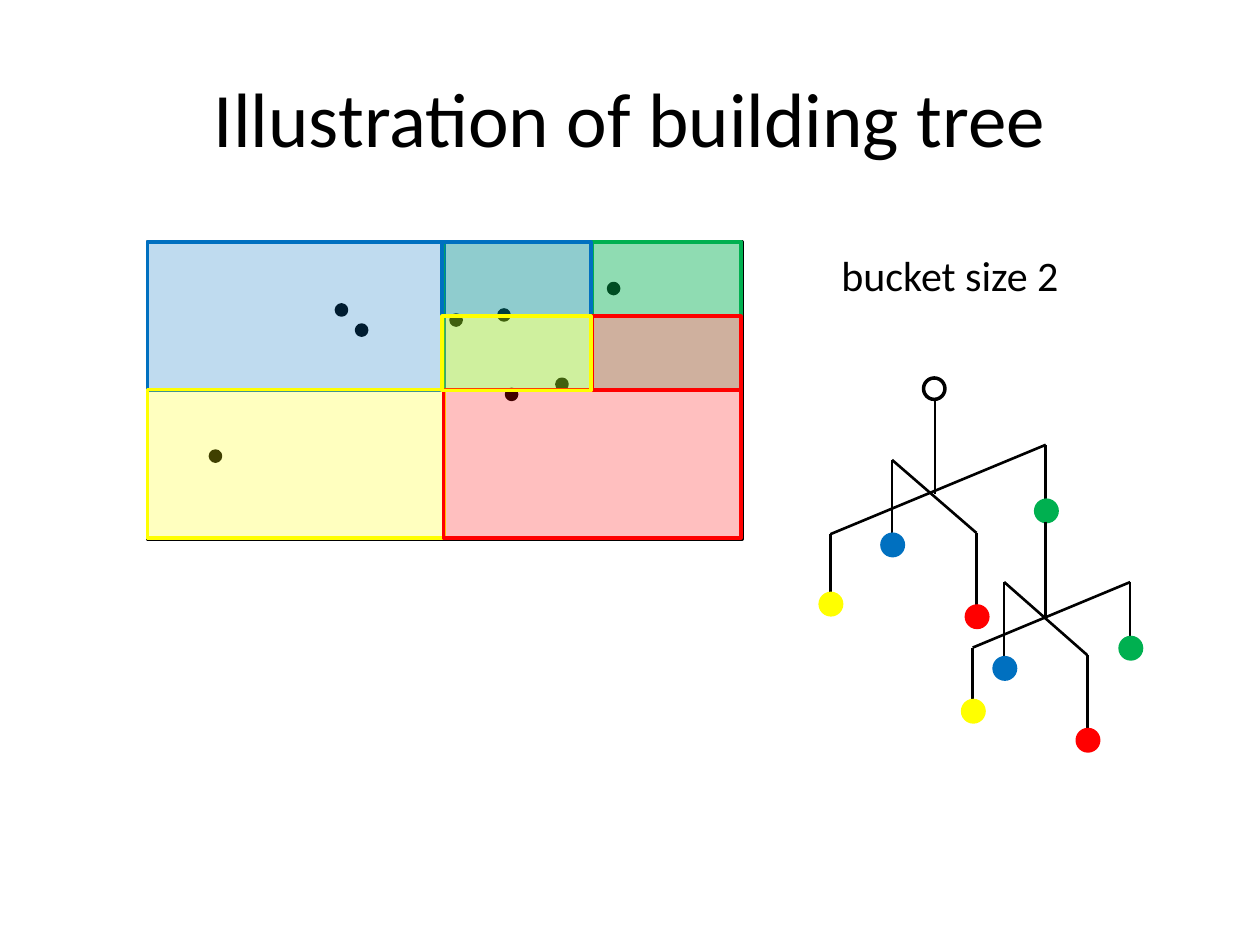
from lxml import etree
from pptx import Presentation
from pptx.dml.color import RGBColor
from pptx.enum.shapes import MSO_CONNECTOR, MSO_SHAPE
from pptx.enum.text import MSO_ANCHOR, MSO_AUTO_SIZE, PP_ALIGN
from pptx.oxml.ns import qn
from pptx.util import Pt

EMU_PER_PX = 9144
FONT = "Calibri"
BLACK = RGBColor(0x00, 0x00, 0x00)
WHITE = RGBColor(0xFF, 0xFF, 0xFF)
BLUE = RGBColor(0x00, 0x70, 0xC0)
GREEN = RGBColor(0x00, 0xB0, 0x50)
YELLOW = RGBColor(0xFF, 0xFF, 0x00)
RED = RGBColor(0xFF, 0x00, 0x00)
ELLIPSE = MSO_SHAPE.OVAL
RECTANGLE = MSO_SHAPE.RECTANGLE
STRAIGHT = MSO_CONNECTOR.STRAIGHT
MIDDLE = MSO_ANCHOR.MIDDLE
CENTER = PP_ALIGN.CENTER
FIT_SHAPE = MSO_AUTO_SIZE.SHAPE_TO_FIT_TEXT

QUADRANT_CELLS = {BLUE: (0, 0), GREEN: (1, 0), YELLOW: (0, 1), RED: (1, 1)}
POINT_SIZE = 8
NODE_SIZE = 17
POINTS = [
    (267, 242), (167, 358), (283, 258), (358, 250),
    (396, 246), (402, 309), (442, 301), (483, 225),
]
ROOT_BRANCHES = {
    YELLOW: (659, 424, 471),
    BLUE: (708, 365, 424),
    GREEN: (830, 353, 397),
    RED: (775, 423, 481),
}
CHILD_BRANCHES = {
    YELLOW: (772, 514, 556),
    BLUE: (797, 462, 522),
    GREEN: (897, 462, 506),
    RED: (863, 520, 579),
}


def px(*lengths):
    return [length * EMU_PER_PX for length in lengths]


class SlideBuilder:
    def __init__(self, presentation):
        self.slide = presentation.slides.add_slide(presentation.slide_layouts[5])
        self.shapes = self.slide.shapes

    def start_group(self):
        self.shapes = self.slide.shapes.add_group_shape().shapes

    def end_group(self):
        self.shapes = self.slide.shapes

    def style_text(self, text_frame, text, size):
        text_frame.text = text
        font = text_frame.paragraphs[0].runs[0].font
        font.name = FONT
        font.size = Pt(size)
        font.color.rgb = BLACK

    def title(self, text, left, top, width, height):
        title = self.slide.shapes.title
        title.left, title.top, title.width, title.height = px(left, top, width, height)
        title.text_frame.vertical_anchor = MIDDLE
        self.style_text(title.text_frame, text, 44)
        title.text_frame.paragraphs[0].alignment = CENTER

    def label(self, text, left, top, width, height):
        box = self.shapes.add_textbox(*px(left, top, width, height))
        box.text_frame.word_wrap = False
        box.text_frame.auto_size = FIT_SHAPE
        self.style_text(box.text_frame, text, 24)

    def outline_shape(self, kind, left, top, width, height, color):
        shape = self.shapes.add_shape(kind, *px(left, top, width, height))
        shape.shadow.inherit = False
        shape.fill.background()
        shape.line.color.rgb = color
        shape.line.width = Pt(2)
        return shape

    def circle(self, left, top, size, fill, line):
        shape = self.outline_shape(ELLIPSE, left, top, size, size, line)
        shape.fill.solid()
        shape.fill.fore_color.rgb = fill

    def region(self, left, top, width, height, color):
        shape = self.outline_shape(RECTANGLE, left, top, width, height, color)
        shape.fill.solid()
        shape.fill.fore_color.rgb = color
        fill_color = shape.fill._xPr.find(qn("a:solidFill"))[0]
        etree.SubElement(fill_color, qn("a:alpha")).set("val", "25000")

    def line(self, start, end):
        connector = self.shapes.add_connector(STRAIGHT, *px(*start, *end))
        connector.line.color.rgb = BLACK
        connector.line.width = Pt(1.5)
        etree.SubElement(connector._element.spPr, qn("a:effectLst"))

    def quadrants(self, left, top, width, height, step_x, step_y, colors):
        self.start_group()
        for color in colors:
            column, row = QUADRANT_CELLS[color]
            self.region(left + column * step_x, top + row * step_y, width, height, color)
        self.end_group()

    def subtree(self, stem_x, stem_top, stem_bottom, branches):
        self.start_group()
        self.line((stem_x, stem_top), (stem_x, stem_bottom))
        for first, second in ((GREEN, YELLOW), (BLUE, RED)):
            self.line(branches[first][:2], branches[second][:2])
        for x, top, leaf_top in branches.values():
            self.line((x, top), (x, leaf_top))
        for color, (x, _, leaf_top) in branches.items():
            self.circle(x - NODE_SIZE // 2, leaf_top, NODE_SIZE, color, color)
        self.end_group()


def main():
    presentation = Presentation()
    presentation.slide_width, presentation.slide_height = px(1000, 750)
    builder = SlideBuilder(presentation)
    builder.title("Illustration of building tree", 50, 30, 900, 125)
    for left, top in POINTS:
        builder.circle(left, top, POINT_SIZE, BLACK, BLACK)
    builder.outline_shape(RECTANGLE, 117, 192, 472, 236, BLACK)
    builder.quadrants(117, 192, 236, 118, 235, 117, (BLUE, GREEN, YELLOW, RED))
    builder.quadrants(351, 192, 118, 59, 119, 59, (GREEN, BLUE, RED, YELLOW))
    builder.label("bucket size 2", 658, 193, 194, 50)
    builder.circle(733, 300, NODE_SIZE, WHITE, BLACK)
    builder.subtree(742, 317, 392, ROOT_BRANCHES)
    builder.subtree(830, 414, 489, CHILD_BRANCHES)
    presentation.save("out.pptx")


if __name__ == "__main__":
    main()
